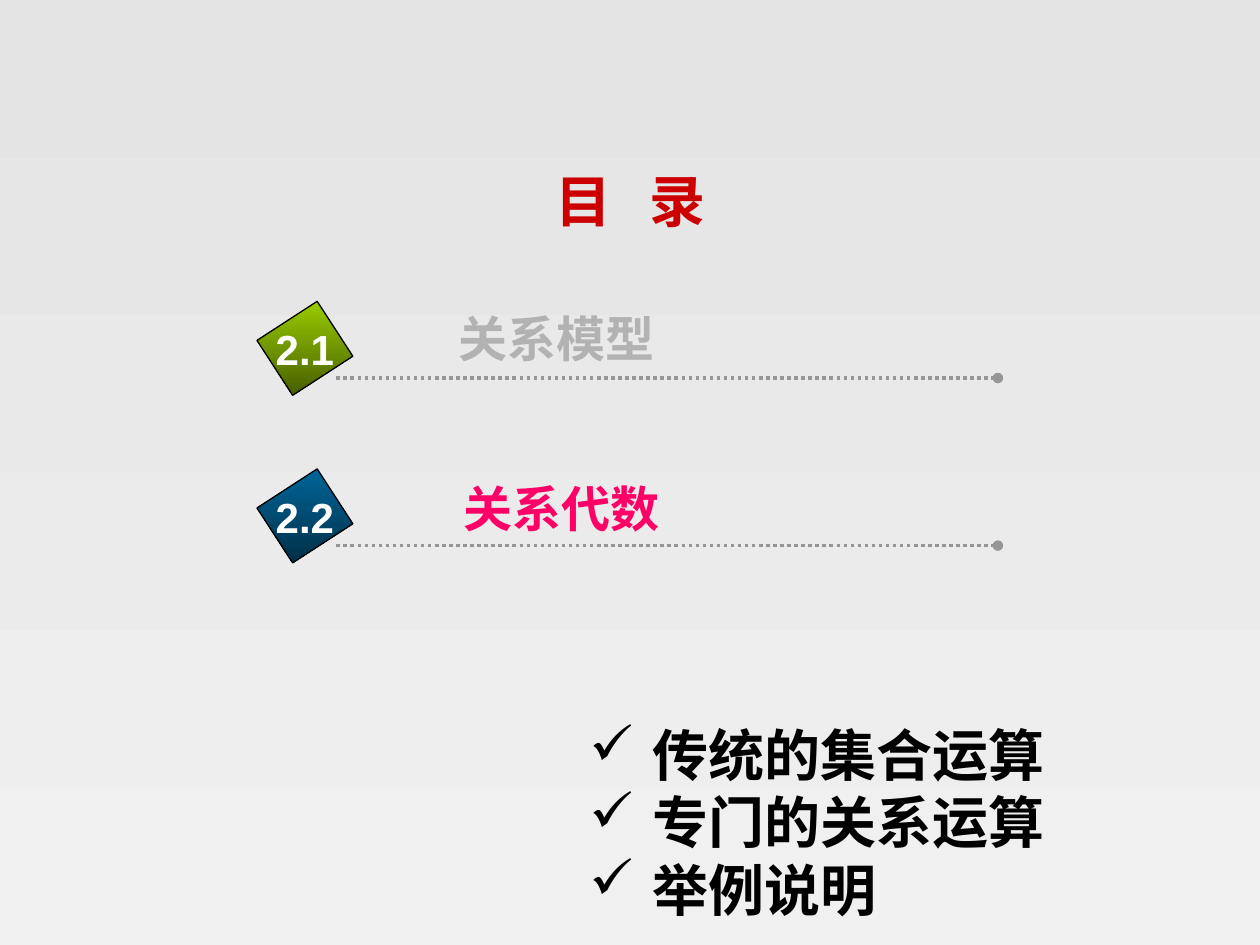
from dataclasses import dataclass

from lxml import etree
from pptx import Presentation
from pptx.dml.color import RGBColor
from pptx.enum.dml import MSO_LINE_DASH_STYLE as DASH
from pptx.enum.shapes import MSO_CONNECTOR, MSO_SHAPE
from pptx.enum.text import MSO_ANCHOR as ANCHOR, PP_ALIGN as ALIGN
from pptx.oxml.ns import qn
from pptx.util import Inches, Pt


@dataclass(frozen=True)
class Theme:
    heading_font: str = "Noto Sans CJK SC"
    body_font: str = "Arial"
    heading_size: int = 32
    entry_size: int = 28
    number_size: int = 24
    heading: str = "CC0000"
    muted: str = "B2B2B2"
    active: str = "FF0066"
    rule: str = "969696"
    black: str = "000000"
    white: str = "FFFFFF"
    backdrop: tuple = ("E4E4E4", "F0F0F0")
    green: tuple = ("99CC00", "475E00")
    blue: tuple = ("006699", "002F47")


class Deck:
    def __init__(self, prs, theme):
        self.theme = theme
        self.s = prs.slides.add_slide(prs.slide_layouts[6])

    def rgb(self, color):
        return RGBColor.from_string(color)

    def gradient(self, fill, colors, angle):
        fill.gradient()
        fill.gradient_angle = 360 - angle
        for stop, color in zip(fill.gradient_stops, colors):
            stop.color.rgb = self.rgb(color)

    def style(self, r, **fmt):
        color = fmt.pop("color")
        for name, value in fmt.items():
            setattr(r.font, name, value)
        r.font.color.rgb = self.rgb(color)

    def text(self, box, lines, size, color, font=None, align=ALIGN.LEFT,
             anchor=ANCHOR.TOP, wrap=True, indent=0, bullet=None, parent=None):
        sp = (parent or self.s).shapes.add_textbox(*map(Inches, box))
        tf = sp.text_frame
        tf.word_wrap, tf.vertical_anchor = wrap, anchor
        for i, line in enumerate(lines):
            p = tf.paragraphs[0] if i == 0 else tf.add_paragraph()
            p.alignment = align
            if indent:
                p._p.get_or_add_pPr().set("marL", str(Inches(indent)))
            if bullet:
                self.bullet(p, bullet, indent)
            r = p.add_run()
            r.text = line
            self.style(r, size=Pt(size), bold=True, color=color,
                       name=font or self.theme.body_font)
        return tf

    def bullet(self, p, char, indent):
        pPr = p._p.get_or_add_pPr()
        pPr.set("indent", str(-Inches(indent)))
        clr = etree.SubElement(pPr, qn("a:buClr"))
        etree.SubElement(clr, qn("a:srgbClr"), val=self.theme.black)
        etree.SubElement(pPr, qn("a:buChar"), char=char)

    def title(self, box, first, last, gap):
        """Two characters set apart by a widened space."""
        t = self.theme
        tf = self.text(box, [first], t.heading_size, t.heading,
                       t.heading_font, ALIGN.CENTER, ANCHOR.MIDDLE)
        for part in (" ", last):
            r = tf.paragraphs[0].add_run()
            r.text = part
            self.style(r, size=Pt(t.heading_size), bold=True,
                       color=t.heading, name=t.heading_font)
            if part == " ":
                r._r.get_or_add_rPr().set("spc", str(gap * 100))

    def rule(self, x1, x2, y):
        c = self.s.shapes.add_connector(
            MSO_CONNECTOR.STRAIGHT, *map(Inches, (x1, y, x2, y)))
        c.line.color.rgb = self.rgb(self.theme.rule)
        c.line.width = Pt(2)
        c.line.dash_style = DASH.ROUND_DOT
        etree.SubElement(c.line._get_or_add_ln(), qn("a:tailEnd"), type="oval")
        etree.SubElement(c._element.spPr, qn("a:effectLst"))

    def tile(self, y, number, colors):
        t = self.theme
        group = self.s.shapes.add_group_shape()
        sp = group.shapes.add_shape(
            MSO_SHAPE.RECTANGLE, *map(Inches, (2.16, y, 0.52, 0.57)))
        sp.shadow.inherit = False
        sp.rotation = 57
        self.gradient(sp.fill, colors, 33)
        sp.line.color.rgb = self.rgb(t.black)
        sp.line.width = Pt(0.75)
        self.text((2.09, y + 0.04, 0.66, 0.5), [number], t.number_size,
                  t.white, align=ALIGN.CENTER, wrap=False, parent=group)


def main():
    prs = Presentation()
    prs.slide_width, prs.slide_height = Inches(10), Inches(7.5)
    t = Theme()
    deck = Deck(prs, t)
    deck.gradient(deck.s.background.fill, t.backdrop, 90)

    # Heading
    deck.title((1.42, 1.25, 7.17, 0.67), "目", "录", gap=14)

    # Numbered sections
    sections = [
        ("2.1", "关系模型", t.muted, t.green, (3.11, 2.4, 4.42, 0.57), 0.43),
        ("2.2", "关系代数", t.active, t.blue, (3.58, 3.75, 3.75, 0.57), 0),
    ]
    for i, (number, name, color, tile, box, indent) in enumerate(sections):
        y = 3 + i * 1.33
        deck.rule(2.67, 7.92, y)
        deck.text(box, [name], t.entry_size, color, indent=indent)
        deck.tile(y - 0.52, number, tile)

    # Topics of the current section
    deck.text((4.58, 5.67, 4.92, 1.7),
              ["传统的集合运算", "专门的关系运算", "举例说明"],
              t.heading_size, t.black, indent=0.5, bullet="✓")

    prs.save("out.pptx")


if __name__ == "__main__":
    main()
